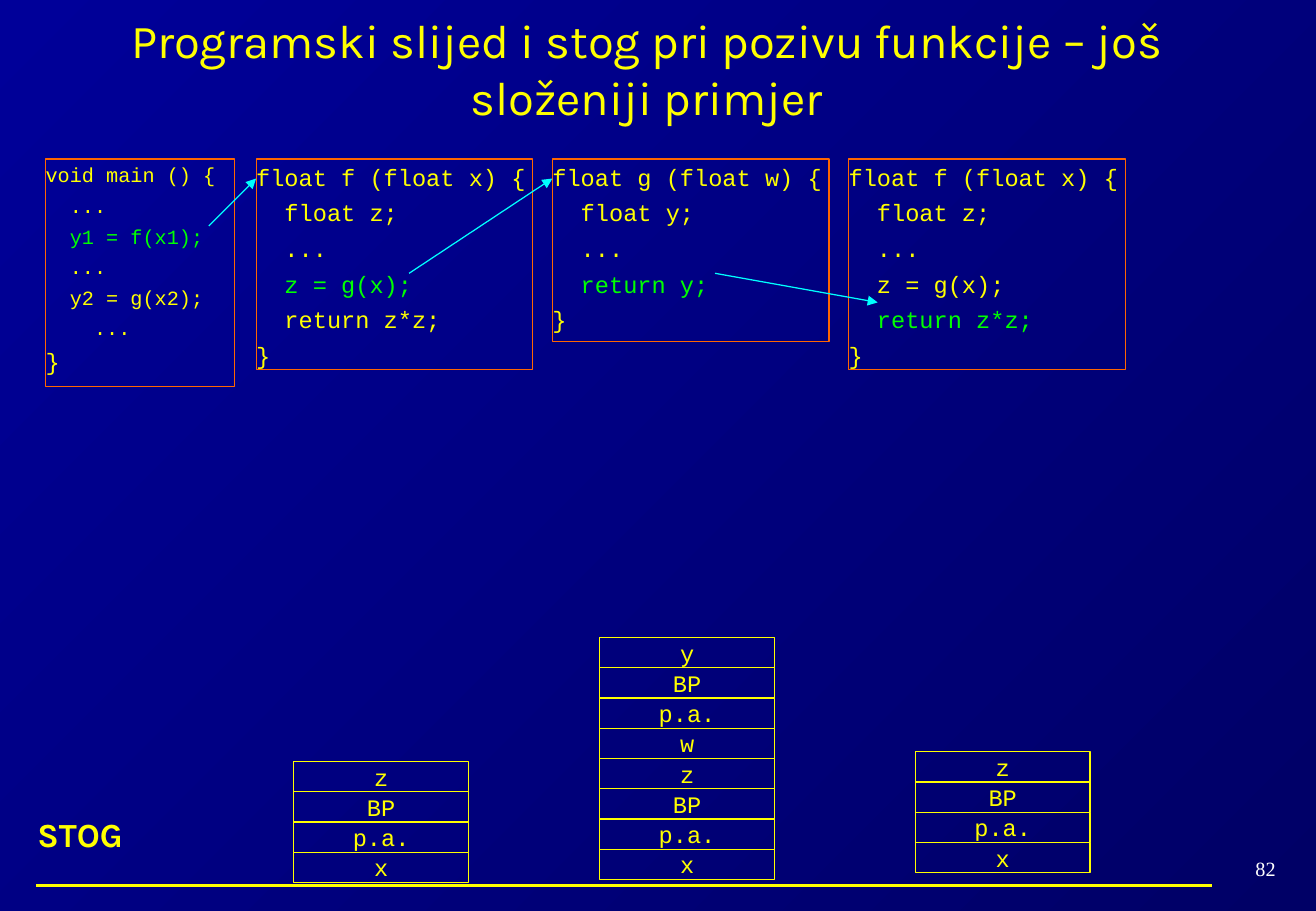
import pptx
import pptx.util
import pptx.dml.color
import pptx.enum.shapes
import pptx.enum.text
import pptx.oxml.ns
from lxml import etree

RGBColor = pptx.dml.color.RGBColor
NAVY = RGBColor(0x00, 0x00, 0x66)
BLUE = RGBColor(0x00, 0x00, 0x99)
YELLOW = RGBColor(0xFF, 0xFF, 0x00)
GREEN = RGBColor(0x00, 0xFF, 0x00)
ORANGE = RGBColor(0xFF, 0x66, 0x00)
CYAN = RGBColor(0x00, 0xFF, 0xFF)
WHITE = RGBColor(0xFF, 0xFF, 0xFF)

CODE_FONT = "Courier New"
TEXT_FONT = "Karla"

# The slide is a grid of square cells; positions are given as (column, row).
CELL = pptx.util.Inches(0.1)
COLS, ROWS = 108.4, 75
CODE_TOP = 13.1
CODE_W = 22.8
FRAME_COL, FRAME_PITCH = 21.1, 24.4
STACK_W, STACK_ROW = 14.4, 2.49

ALIGN = pptx.enum.text.PP_ALIGN
ANCHOR = pptx.enum.text.MSO_ANCHOR

MAIN_CODE = ["void main () {", "  ...", "  y1 = f(x1);", "  ...",
             "  y2 = g(x2);", "    ...", "}"]
F_CODE = ["float f (float x) {", "  float z;", "  ...", "  z = g(x);",
          "  return z*z;", "}"]
G_CODE = ["float g (float w) {", "  float y;", "  ...", "  return y;", "}"]
F_STACK = ["z", "BP", "p.a.", "x"]
G_STACK = ["y", "BP", "p.a.", "w"]


def grid(*cells):
    return [round(n * CELL) for n in cells]


def style_run(r, size, font, color, bold=False):
    r.font.size = pptx.util.Pt(size)
    r.font.name = font
    r.font.bold = bold
    r.font.color.rgb = color


def add_label(slide, text, area, size, font, color, align=ALIGN.CENTER,
              anchor=ANCHOR.MIDDLE, bold=False, wrap=True):
    tf = slide.shapes.add_textbox(*grid(*area)).text_frame
    tf.word_wrap = wrap
    tf.vertical_anchor = anchor
    tf.text = text
    p = tf.paragraphs[0]
    p.alignment = align
    style_run(p.runs[0], size, font, color, bold)


def add_frame(shapes, area, color):
    """Add an unfilled rectangle without text margins."""
    sp = shapes.add_shape(pptx.enum.shapes.MSO_SHAPE.RECTANGLE, *grid(*area))
    sp.shadow.inherit = False
    sp.fill.background()
    sp.line.color.rgb = color
    sp.line.width = pptx.util.Pt(0.75)
    tf = sp.text_frame
    tf.margin_left = tf.margin_right = tf.margin_top = tf.margin_bottom = 0
    tf.word_wrap = True
    return sp


def add_code(slide, col, width, height, lines, active, size=14):
    """Add a code box whose line number `active` is green after its indent."""
    tf = add_frame(slide.shapes, (col, CODE_TOP, width, height), ORANGE).text_frame
    tf.vertical_anchor = ANCHOR.TOP
    tf.margin_top = pptx.util.Inches(0.03)
    for i, line in enumerate(lines):
        p = tf.paragraphs[0] if i == 0 else tf.add_paragraph()
        p.alignment = ALIGN.LEFT
        p.text = line
        line_size = 14 if line == "}" else size
        color = GREEN if i == active else YELLOW
        style_run(p.runs[0], line_size, CODE_FONT, color)
        if i > 0:
            p.space_before = pptx.util.Pt(round(0.31 * line_size, 1))


def add_line(slide, start, end, color, width, arrow=False):
    cx = slide.shapes.add_connector(
        pptx.enum.shapes.MSO_CONNECTOR.STRAIGHT, *grid(*start, *end))
    cx.line.color.rgb = color
    cx.line.width = pptx.util.Pt(width)
    if arrow:
        ln = cx.line._get_or_add_ln()
        etree.SubElement(ln, pptx.oxml.ns.qn("a:tailEnd"), type="triangle")
    etree.SubElement(cx._element.spPr, pptx.oxml.ns.qn("a:effectLst"))


def add_stack(slide, col, top, entries):
    group = slide.shapes.add_group_shape()
    for i, entry in enumerate(entries):
        area = (col, top + i * STACK_ROW, STACK_W, STACK_ROW)
        tf = add_frame(group.shapes, area, YELLOW).text_frame
        tf.vertical_anchor = ANCHOR.MIDDLE
        tf.text = entry
        p = tf.paragraphs[0]
        p.alignment = ALIGN.CENTER
        style_run(p.runs[0], 14, CODE_FONT, YELLOW)


def set_background(slide):
    fill = slide.background.fill
    fill.gradient()
    fill.gradient_angle = 135
    for stop, color in zip(fill.gradient_stops, (NAVY, BLUE)):
        stop.color.rgb = color


def main():
    prs = pptx.Presentation()
    prs.slide_width, prs.slide_height = grid(COLS, ROWS)
    slide = prs.slides.add_slide(prs.slide_layouts[6])
    set_background(slide)

    add_label(slide, "Programski slijed i stog pri pozivu funkcije – još složeniji primjer",
              (5.4, 2.5, 95.7, 8.3), 28, TEXT_FONT, YELLOW, anchor=ANCHOR.BOTTOM)
    add_label(slide, "82", (100.2, 70, 8.1, 3), 12, "Times New Roman", WHITE)
    add_label(slide, "STOG", (2.1, 66.5, 9.4, 4.4), 20, TEXT_FONT, YELLOW,
              ALIGN.LEFT, ANCHOR.TOP, bold=True, wrap=False)
    add_line(slide, (3, 72.9), (99.8, 72.9), YELLOW, 2)

    add_code(slide, 3.75, 15.6, 18.7, MAIN_CODE, active=2, size=12)
    calls = [(F_CODE, 3, 17.3), (G_CODE, 3, 15), (F_CODE, 4, 17.3)]
    for i, (lines, active, height) in enumerate(calls):
        add_code(slide, FRAME_COL + i * FRAME_PITCH, CODE_W, height, lines, active)

    jumps = [((17.2, 18.6), (FRAME_COL, 14.7)),
             ((33.7, 22.5), (FRAME_COL + FRAME_PITCH, 14.7)),
             ((58.9, 22.5), (72.3, 24.9))]
    for start, end in jumps:
        add_line(slide, start, end, CYAN, 0.75, arrow=True)

    add_stack(slide, 24.2, 62.7, F_STACK)
    add_stack(slide, 49.4, 52.5, G_STACK + F_STACK)
    add_stack(slide, 75.4, 61.9, F_STACK)

    prs.save("out.pptx")


if __name__ == "__main__":
    main()
